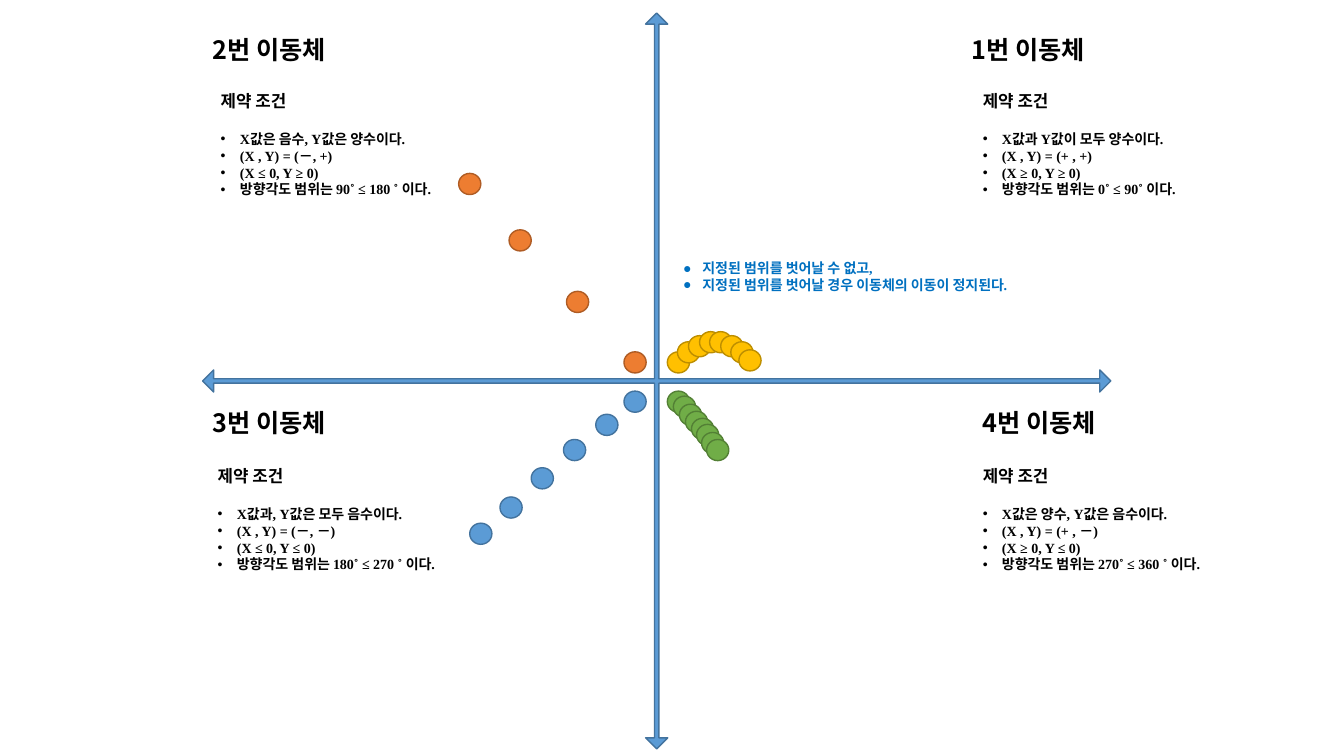
from dataclasses import dataclass

from lxml import etree
from pptx import Presentation
from pptx.dml.color import RGBColor
from pptx.enum.shapes import MSO_SHAPE
from pptx.enum.text import MSO_ANCHOR, MSO_AUTO_SIZE, PP_ALIGN
from pptx.oxml.ns import qn
from pptx.util import Inches, Pt

CROSS, DOT = MSO_SHAPE.QUAD_ARROW, MSO_SHAPE.OVAL
TOP, LEFT, GROW = MSO_ANCHOR.TOP, PP_ALIGN.LEFT, MSO_AUTO_SIZE.SHAPE_TO_FIT_TEXT
COLS, ROWS = 80, 45


@dataclass(frozen=True)
class Theme:
    sans: str = "Noto Sans CJK KR"
    serif: str = "Times New Roman"
    head: int = 18
    sub: int = 12
    text: int = 10
    gap: int = 14
    hang: float = 0.19
    ink: str = "000000"
    note: str = "0070C0"
    blue: tuple = ("5B9BD5", "43739E")
    gold: tuple = ("FFC000", "BD8E00")
    green: tuple = ("70AD47", "538035")
    orange: tuple = ("ED7D31", "AF5C24")


class Board:
    def __init__(self, deck, theme):
        self.theme = theme
        self.cell = deck.slide_width / COLS, deck.slide_height / ROWS
        self.slide = deck.slides.add_slide(deck.slide_layouts[4])
        self.title, *self.lists = self.slide.placeholders

    def area(self, x, y, w, h):
        """Turn columns and rows into slide lengths."""
        cw, rh = self.cell
        return [round(v) for v in (x * cw, y * rh, w * cw, h * rh)]

    def shape(self, kind, box, paint):
        item = self.slide.shapes.add_shape(kind, *self.area(*box))
        item.shadow.inherit = False
        fill, edge = paint
        item.fill.solid()
        item.fill.fore_color.rgb = RGBColor.from_string(fill)
        item.line.color.rgb = RGBColor.from_string(edge)
        item.line.width = Pt(1)
        return item

    def trail(self, spots, paint):
        for x, y in spots:
            self.shape(DOT, (x, y, 1.32, 1.26), paint)

    def frame(self, box, item=None, wrap=True):
        """Place a placeholder, or a new text box, and return its frame."""
        place = self.area(*box)
        item = item or self.slide.shapes.add_textbox(*place)
        item.left, item.top, item.width, item.height = place
        frame = item.text_frame
        frame.word_wrap = wrap
        frame.auto_size = GROW
        frame.vertical_anchor = TOP
        return frame

    def line(self, frame, text, size, font, color, mark=None, after=0):
        first = frame.paragraphs[0]
        para = frame.add_paragraph() if first.runs else first
        para.alignment = LEFT
        para.line_spacing = 1.0
        para.space_before, para.space_after = Pt(0), Pt(after)
        props = para._p.get_or_add_pPr()
        hang = Inches(self.theme.hang) if mark else 0
        props.set("marL", str(hang))
        props.set("indent", str(-hang))
        if mark:
            etree.SubElement(props, qn("a:buFont")).set("typeface", "Arial")
            etree.SubElement(props, qn("a:buChar")).set("char", mark)
        else:
            etree.SubElement(props, qn("a:buNone"))
        run = para.add_run()
        run.text = text
        run.font.name, run.font.size, run.font.bold = font, Pt(size), True
        run.font.color.rgb = RGBColor.from_string(color)

    def head(self, text, box, item=None):
        look = self.theme
        self.line(self.frame(box, item), text, look.head, look.sans, look.ink)

    def rules(self, lines, box, item):
        look = self.theme
        frame = self.frame(box, item)
        self.line(frame, "제약 조건", look.sub, look.serif, look.ink, after=look.gap)
        for text in lines:
            self.line(frame, text, look.text, look.serif, look.ink, "•")

    def note(self, lines, box):
        look = self.theme
        frame = self.frame(box, wrap=False)
        for text in lines:
            self.line(frame, text, look.text, look.serif, look.note, "●")


# Heading, its box, rules, their box
ZONES = [
    ("1번 이동체", (57.24, 1.74, 8.82, 2.4),
     ["X값과 Y값이 모두 양수이다.", "(X , Y) = (+ , +)", "(X ≥ 0, Y ≥ 0)",
      "방향각도 범위는 0˚ ≤ 90˚ 이다."], (57.9, 5.1, 19.8, 8.28)),
    ("2번 이동체", (12.06, 1.74, 9.72, 2.4),
     ["X값은 음수, Y값은 양수이다.", "(X , Y) = (－, +)", "(X ≤ 0, Y ≥ 0)",
      "방향각도 범위는 90˚ ≤ 180 ˚ 이다."], (12.54, 5.1, 15.3, 8.28)),
    ("3번 이동체", (12.06, 23.94, 9.72, 2.4),
     ["X값과, Y값은 모두 음수이다.", "(X , Y) = (－, －)", "(X ≤ 0, Y ≤ 0)",
      "방향각도 범위는 180˚ ≤ 270 ˚ 이다."], (12.36, 27.42, 15.3, 8.28)),
    ("4번 이동체", (57.9, 23.94, 8.76, 2.4),
     ["X값은 양수, Y값은 음수이다.", "(X , Y) = (+ , －)", "(X ≥ 0, Y ≤ 0)",
      "방향각도 범위는 270˚ ≤ 360 ˚ 이다."], (57.9, 27.42, 15.3, 9.3)),
]
GOLD = [(39.72, 20.94), (40.32, 20.34), (40.98, 19.98), (41.64, 19.74),
        (42.24, 19.74), (42.9, 19.98), (43.5, 20.34), (43.98, 20.82)]
GREEN = [(39.72, 23.28), (40.08, 23.58), (40.44, 24.06), (40.8, 24.48),
         (41.16, 24.9), (41.46, 25.26), (41.76, 25.74), (42.06, 26.16)]
BLUE = [(37.14, 23.28), (35.46, 24.66), (33.54, 26.16), (31.62, 27.84),
        (29.76, 29.58), (27.96, 31.14)]
ORANGE = [(37.14, 20.94), (33.72, 17.34), (30.3, 13.68), (27.3, 10.32)]


def main():
    deck = Presentation()
    deck.slide_width, deck.slide_height = Inches(13.33), Inches(7.5)
    theme = Theme()
    board = Board(deck, theme)

    axes = board.shape(CROSS, (12.06, 0.78, 54.06, 43.8), theme.blue)
    for i, share in enumerate((0.006, 0.015, 0.015)):
        axes.adjustments[i] = share

    for spots, paint in ((GOLD, theme.gold), (GREEN, theme.green),
                         (BLUE, theme.blue), (ORANGE, theme.orange)):
        board.trail(spots, paint)

    heads = [board.title, None, None, None]
    for zone, top, body in zip(ZONES, heads, board.lists):
        name, spot, lines, box = zone
        board.head(name, spot, top)
        board.rules(lines, box, body)

    board.note(["지정된 범위를 벗어날 수 없고,",
                "지정된 범위를 벗어날 경우 이동체의 이동이 정지된다."],
               (40.08, 15.18, 22.32, 2.64))
    deck.save("out.pptx")


if __name__ == "__main__":
    main()
